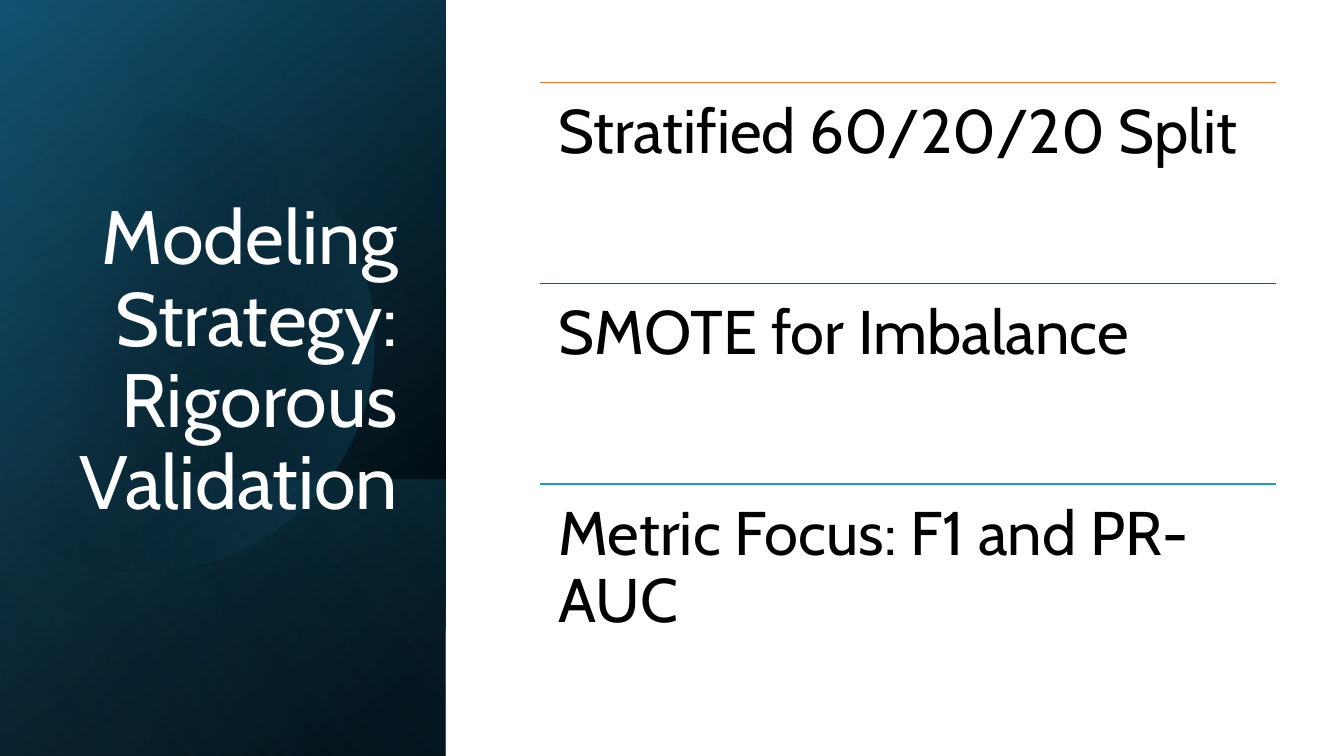
import pptx
import pptx.util
import pptx.dml.color
import pptx.enum.shapes
import pptx.enum.text
import pptx.oxml
import pptx.oxml.ns
from lxml import etree

Cm = pptx.util.Cm
COLORS = {
    "black": "000000", "white": "FFFFFF", "navy": "104862", "teal": "156082",
    "sky": "46B1E1", "orange": "E97132", "green": "196B24", "blue": "0F9ED5",
}
FONT = "Cabin"
TITLE = "Modeling Strategy: Rigorous Validation"
TOPICS = [
    ("Stratified 60/20/20 Split", "orange"),
    ("SMOTE for Imbalance", "green"),
    ("Metric Focus: F1 and PR-AUC", "blue"),
]
DISC_START = (3.78, 2.79)
DISC_CURVES = [
    [(6.25, 2.84), (8.51, 4.5), (9.22, 6.99)],
    [(10.11, 10.08), (8.33, 13.28), (5.26, 14.17)],
    [(3.33, 14.73), (1.35, 14.25), (0, 13.06)],
    [(0, 10.07), (0, 7.08), (0, 4.09)],
    [(0.58, 3.61), (1.27, 3.25), (2.03, 3.02)],
    [(2.62, 2.87), (3.2, 2.79), (3.78, 2.79)],
]


def rgb(name):
    return pptx.dml.color.RGBColor.from_string(COLORS[name])


def set_gradient(sp, stops, angle):
    sp.shadow.inherit = False
    sp.line.fill.background()
    sp.fill.background()
    gs = "".join(
        f'<a:gs pos="{pos * 1000}"><a:srgbClr val="{COLORS[color]}">'
        f'<a:alpha val="{alpha * 1000}"/></a:srgbClr></a:gs>'
        for pos, color, alpha in stops)
    grad = pptx.oxml.parse_xml(
        f'<a:gradFill {pptx.oxml.ns.nsdecls("a")} rotWithShape="1"><a:gsLst>{gs}</a:gsLst>'
        f'<a:lin ang="{angle * 60000}" scaled="0"/></a:gradFill>')
    spPr = sp._element.spPr
    spPr.replace(spPr.find(pptx.oxml.ns.qn("a:noFill")), grad)


def add_turned_rect(s, x, y, w, h, stops, angle):
    left, top = x + (w - h) / 2, y + (h - w) / 2
    sp = s.shapes.add_shape(pptx.enum.shapes.MSO_SHAPE.RECTANGLE,
                            Cm(left), Cm(top), Cm(h), Cm(w))
    sp.rotation = 90
    sp._element.spPr.xfrm.set("flipH", "1")
    set_gradient(sp, stops, angle)


def curve_points(start, curves, steps=16):
    points = []
    for a, b, end in curves:
        for i in range(1, steps + 1):
            t = i / steps
            u = 1 - t
            points.append(tuple(
                u**3 * p0 + 3 * u * u * t * p1 + 3 * u * t * t * p2 + t**3 * p3
                for p0, p1, p2, p3 in zip(start, a, b, end)))
        start = end
    return points


def add_disc(s, x, y):
    points = [(Cm(x + px), Cm(y + py)) for px, py in curve_points(DISC_START, DISC_CURVES)]
    builder = s.shapes.build_freeform(*points[-1], scale=1.0)
    builder.add_line_segments(points[:-1], close=True)
    set_gradient(builder.convert_to_shape(), [(29, "black", 0), (100, "teal", 43)], 14)


def add_text(s, text, x, y, w, h, *, size, color, inset, align="LEFT", anchor="TOP"):
    tf = s.shapes.add_textbox(Cm(x), Cm(y), Cm(w), Cm(h)).text_frame
    tf.word_wrap = True
    tf.vertical_anchor = pptx.enum.text.MSO_ANCHOR[anchor]
    tf.margin_left = tf.margin_right = Cm(inset[0])
    tf.margin_top = tf.margin_bottom = Cm(inset[1])
    p = tf.paragraphs[0]
    p.alignment = pptx.enum.text.PP_ALIGN[align]
    p.line_spacing = 0.9
    r = p.add_run()
    r.text = text
    r.font.name = FONT
    r.font.size = pptx.util.Pt(size)
    r.font.color.rgb = rgb(color)


def add_rule(s, x, y, w, color):
    line = s.shapes.add_connector(pptx.enum.shapes.MSO_CONNECTOR.STRAIGHT,
                                  Cm(x), Cm(y), Cm(x + w), Cm(y))
    line.line.color.rgb = rgb(color)
    line.line.width = pptx.util.Pt(1)
    etree.SubElement(line._element.spPr, pptx.oxml.ns.qn("a:effectLst"))


def add_title_panel(s, x, y, w, h):
    add_turned_rect(s, x, y, w, h, [(8, "black", 100), (100, "navy", 100)], 50)
    add_turned_rect(s, x, y, w, h, [(0, "black", 0), (99, "teal", 46)], 30)
    foot = 6.96
    add_turned_rect(s, x, y + h - foot, w, foot, [(2, "teal", 29), (100, "black", 30)], 130)
    add_disc(s, x, y)
    add_turned_rect(s, x, y, w, h, [(0, "black", 0), (99, "sky", 11)], 120)
    add_text(s, TITLE, x + 1.24, y + 4.67, 9.04, 8.71, size=54, color="white",
             inset=(0.25, 0.13), align="RIGHT", anchor="BOTTOM")


def add_topics(s, x, y, w, h):
    row_h = h / len(TOPICS)
    for i, (text, color) in enumerate(TOPICS):
        top = y + i * row_h
        add_rule(s, x, top, w, color)
        add_text(s, text, x, top, w, row_h, size=44, color="black", inset=(0.46, 0.46))


def main():
    prs = pptx.Presentation()
    prs.slide_width, prs.slide_height = Cm(33.87), Cm(19.05)
    s = prs.slides.add_slide(prs.slide_layouts[6])
    add_title_panel(s, 0, 0, 11.23, 19.05)
    add_topics(s, 13.62, 2.08, 18.53, 15.18)
    prs.save("out.pptx")


if __name__ == "__main__":
    main()
